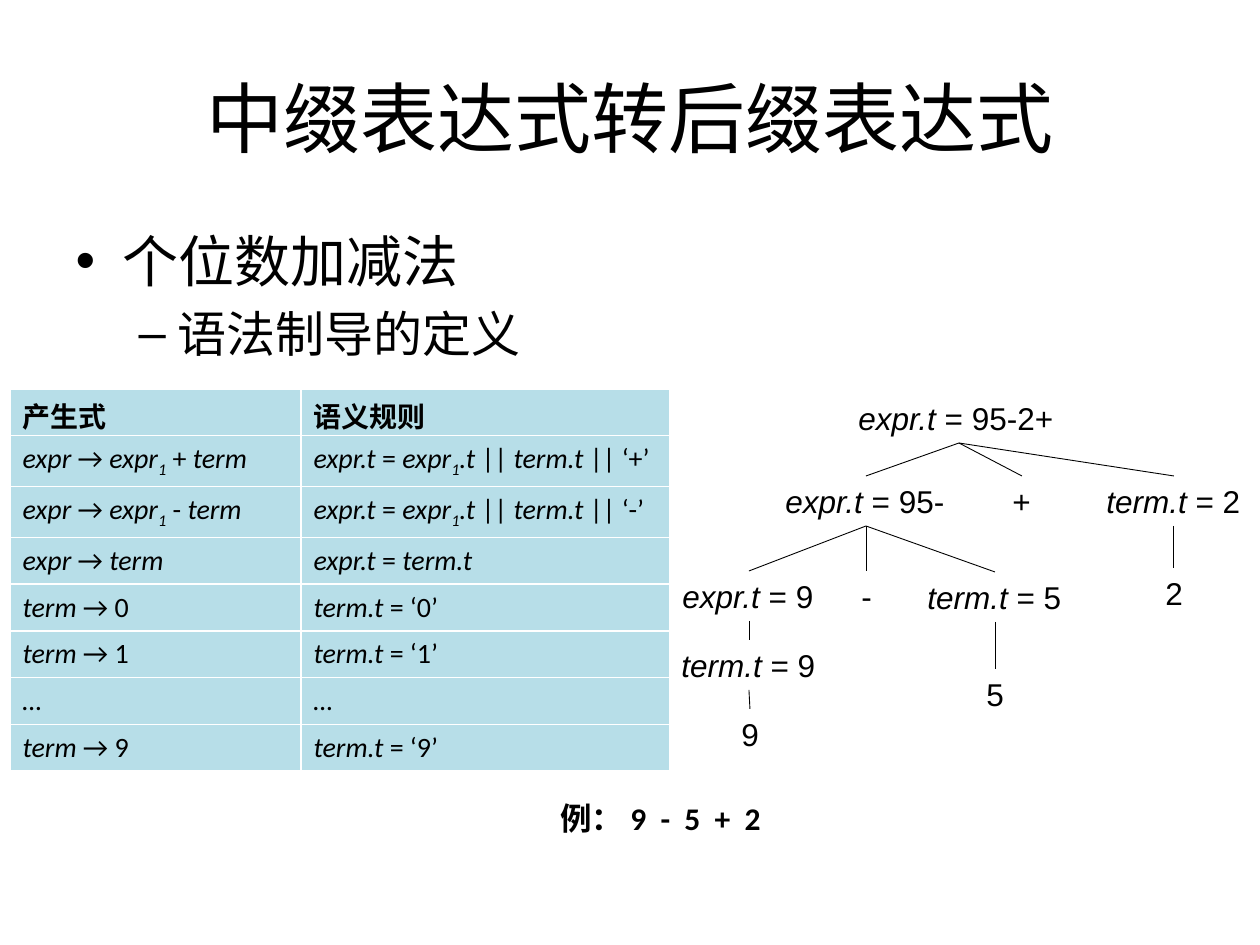
"""Build a slide on translating infix expressions to postfix."""
from lxml import etree
from pptx import Presentation
from pptx import util as u
from pptx.dml.color import RGBColor
from pptx.enum import shapes, text
from pptx.oxml import ns

PX = 914400 // 126
COLORS = {"ink": "000000", "cell": "B7DEE8"}
ROWS = [
    ("产生式", "语义规则"),
    ("*expr *→ *expr_1_* + *term*", "*expr.t* = *expr_1_.t* || *term.t* || ‘+’"),
    ("*expr *→ *expr_1_* - *term*", "*expr.t* = *expr_1_.t* || *term.t* || ‘-’"),
    ("*expr *→ *term*", "*expr.t* = *term.t*"),
    ("*term *→ 0", "*term.t* = ‘0’"),
    ("*term *→ 1", "*term.t* = ‘1’"),
    ("*…*", "*…*"),
    ("*term *→ 9", "*term.t* = ‘9’"),
]
NODE_H = 50
# name: (parent, markup, centre x, top, width)
NODES = {
    "root": (None, "*expr.t* = 95-2+", 959, 393, 226),
    "left": ("root", "*expr.t* = 95-", 866, 476, 186),
    "plus": ("root", "+", 1022, 476, 44),
    "right": ("root", "*term.t* = 2", 1174, 476, 161),
    "nine": ("left", "*expr.t* = 9", 749, 571, 158),
    "minus": ("left", "-", 866, 571, 35),
    "five": ("left", "*term.t* = 5", 995, 572, 160),
    "nine term": ("nine", "*term.t* = 9", 749, 640, 160),
    "nine leaf": ("nine term", "9", 750, 709, 43),
    "five leaf": ("five", "5", 995, 669, 43),
    "two leaf": ("right", "2", 1174, 568, 43),
}


def px(*values):
    return [u.Emu(v * PX) for v in values]


def rgb(name):
    return RGBColor.from_string(COLORS[name])


def add_run(p, words, size, font="Calibri", bold=False, italic=False, sub=False):
    r = p.add_run()
    r.text = words
    r.font.size, r.font.name = u.Pt(size), font
    r.font.bold, r.font.italic = bold, italic
    r.font.color.rgb = rgb("ink")
    if sub:
        r._r.get_or_add_rPr().set("baseline", "-25000")


def add_markup(p, markup, size, **style):
    for i, part in enumerate(markup.split("*")):
        for j, words in enumerate(part.split("_")):
            if words:
                add_run(p, words, size, italic=i % 2 == 1, sub=j % 2 == 1, **style)


def fill_placeholder(sp, box, lines):
    sp.left, sp.top, sp.width, sp.height = px(*box)
    tf = sp.text_frame
    for i, (words, size) in enumerate(lines):
        p = tf.add_paragraph() if i else tf.paragraphs[0]
        p.level = i
        add_run(p, words, size)


def add_label(s, box, markup, wrap=False, align=text.PP_ALIGN.LEFT, **style):
    tf = s.shapes.add_textbox(*px(*box)).text_frame
    tf.word_wrap = wrap
    tf.auto_size = text.MSO_AUTO_SIZE.SHAPE_TO_FIT_TEXT
    tf.paragraphs[0].alignment = align
    add_markup(tf.paragraphs[0], markup, 18, **style)


def add_line(s, *ends):
    sp = s.shapes.add_connector(shapes.MSO_CONNECTOR.STRAIGHT, *px(*ends))
    sp.line.width = u.Pt(0.5)
    sp.line.color.rgb = rgb("ink")
    etree.SubElement(sp._element.spPr, ns.qn("a:effectLst"))


def add_tree(s):
    for parent, markup, x, top, width in NODES.values():
        add_label(s, (x - width // 2, top, width, NODE_H), markup, font="Arial")
        if parent:
            _, _, parent_x, parent_top, _ = NODES[parent]
            add_line(s, parent_x, parent_top + NODE_H, x, top)


def add_rules(s):
    table = s.shapes.add_table(len(ROWS), 2, *px(10, 389, 660, 374)).table
    for column, width in zip(table.columns, px(291, 369)):
        column.width = width
    for i, row in enumerate(ROWS):
        for j, markup in enumerate(row):
            cell = table.cell(i, j)
            cell.fill.solid()
            cell.fill.fore_color.rgb = rgb("cell")
            add_markup(cell.text_frame.paragraphs[0], markup, 16, bold=i == 0)


def main():
    prs = Presentation()
    prs.slide_width, prs.slide_height = px(1260, 945)
    s = prs.slides.add_slide(prs.slide_layouts[1])
    title, body = s.placeholders
    fill_placeholder(title, (63, 38, 1134, 158), [("中缀表达式转后缀表达式", 44)])
    fill_placeholder(body, (63, 220, 1134, 624),
                     [("个位数加减法", 32), ("语法制导的定义", 28)])
    add_tree(s)
    add_rules(s)
    add_label(s, (548, 793, 228, 50), "例： 9  -  5  +  2", wrap=True, bold=True)
    prs.save("out.pptx")


main()
